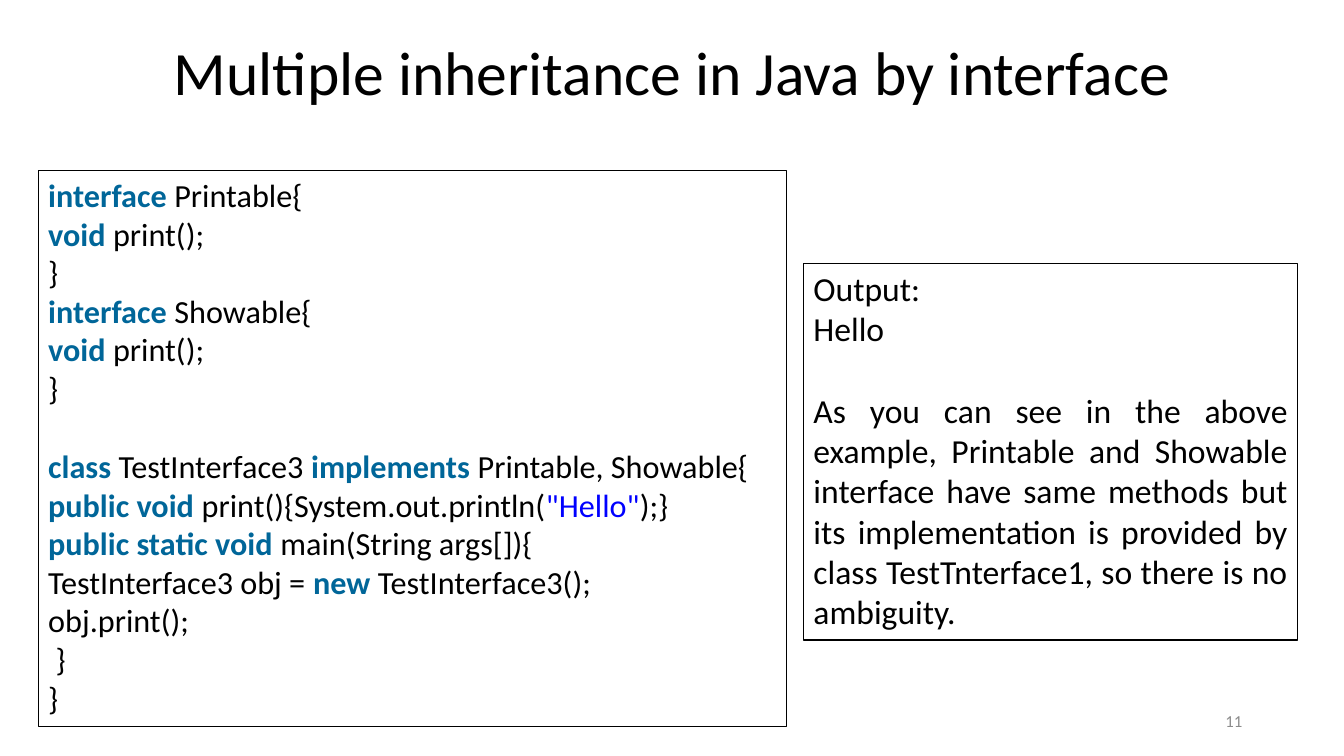
from pptx import Presentation
from pptx.dml.color import RGBColor
from pptx.enum.shapes import MSO_SHAPE as Shape
from pptx.enum.text import MSO_ANCHOR as Anchor, PP_ALIGN as Align
from pptx.util import Inches, Pt

COLORS = {
    "text": "000000",
    "keyword": "006699",
    "string": "0000FF",
    "number": "8C8C8C",
}
FONT = "Calibri"
LINE_HEIGHT = 1.22

CODE_GROUPS = [
    [
        [("interface", "keyword"), (" Printable{", "text")],
        [("void", "keyword"), (" print();", "text")],
        [("}", "text")],
        [("interface", "keyword"), (" Showable{", "text")],
        [("void", "keyword"), (" print();", "text")],
        [("}", "text")],
    ],
    [
        [("class", "keyword"), (" TestInterface3 ", "text"),
         ("implements", "keyword"), (" Printable, Showable{", "text")],
        [("public void", "keyword"), (" print(){System.out.println(", "text"),
         ('"Hello"', "string"), (");}", "text")],
        [("public static void", "keyword"), (" main(String args[]){", "text")],
        [("TestInterface3 obj = ", "text"), ("new", "keyword"),
         (" TestInterface3();", "text")],
        [("obj.print();", "text")],
        [(" }", "text")],
        [("}", "text")],
    ],
]

OUTPUT_GROUPS = [
    [[("Output:", "text")], [("Hello", "text")]],
    [[("As you can see in the above example, Printable and Showable interface "
       "have same methods but its implementation is provided by class "
       "TestTnterface1, so there is no ambiguity.", "text")]],
]


def color(name):
    return RGBColor.from_string(COLORS[name])


def add_span(para, text, size, tone="text", bold=False):
    span = para.add_run()
    span.text = text
    span.font.name = FONT
    span.font.size = Pt(size)
    span.font.bold = bold
    span.font.color.rgb = color(tone)


def add_label(page, box, text, size, align, tone="text", spacing=None):
    label = page.shapes.add_textbox(*map(Inches, box))
    frame = label.text_frame
    frame.word_wrap = True
    frame.vertical_anchor = Anchor.MIDDLE
    para = frame.paragraphs[0]
    para.alignment = align
    para.line_spacing = spacing
    add_span(para, text, size, tone=tone)


def add_panel(page, box, groups, size):
    panel = page.shapes.add_shape(Shape.RECTANGLE, *map(Inches, box))
    panel.shadow.inherit = False
    panel.fill.background()
    panel.line.color.rgb = color("text")
    panel.line.width = Pt(0.75)
    frame = panel.text_frame
    frame.word_wrap = True
    frame.vertical_anchor = Anchor.TOP
    for group_index, group in enumerate(groups):
        for line_index, line in enumerate(group):
            first = group_index == 0 and line_index == 0
            para = frame.paragraphs[0] if first else frame.add_paragraph()
            para.alignment = Align.JUSTIFY
            if group_index and line_index == 0:
                para.space_before = Pt(round(size * LINE_HEIGHT, 1))
            for text, tone in line:
                add_span(para, text, size, tone=tone, bold=tone == "keyword")


def build_slide(deck):
    page = deck.slides.add_slide(deck.slide_layouts[6])
    add_panel(page, (0.38, 1.69, 7.42, 5.52), CODE_GROUPS, size=23)
    add_panel(page, (7.97, 2.61, 4.9, 3.74), OUTPUT_GROUPS, size=24)
    add_label(page, (0.92, 0.34, 11.5, 0.81),
              "Multiple inheritance in Java by interface",
              size=44, align=Align.CENTER, spacing=0.9)
    add_label(page, (9.42, 6.95, 3, 0.4), "11",
              size=12, align=Align.RIGHT, tone="number")


def main():
    deck = Presentation()
    deck.slide_width = Inches(13.33)
    deck.slide_height = Inches(7.5)
    build_slide(deck)
    deck.save("out.pptx")


if __name__ == "__main__":
    main()
